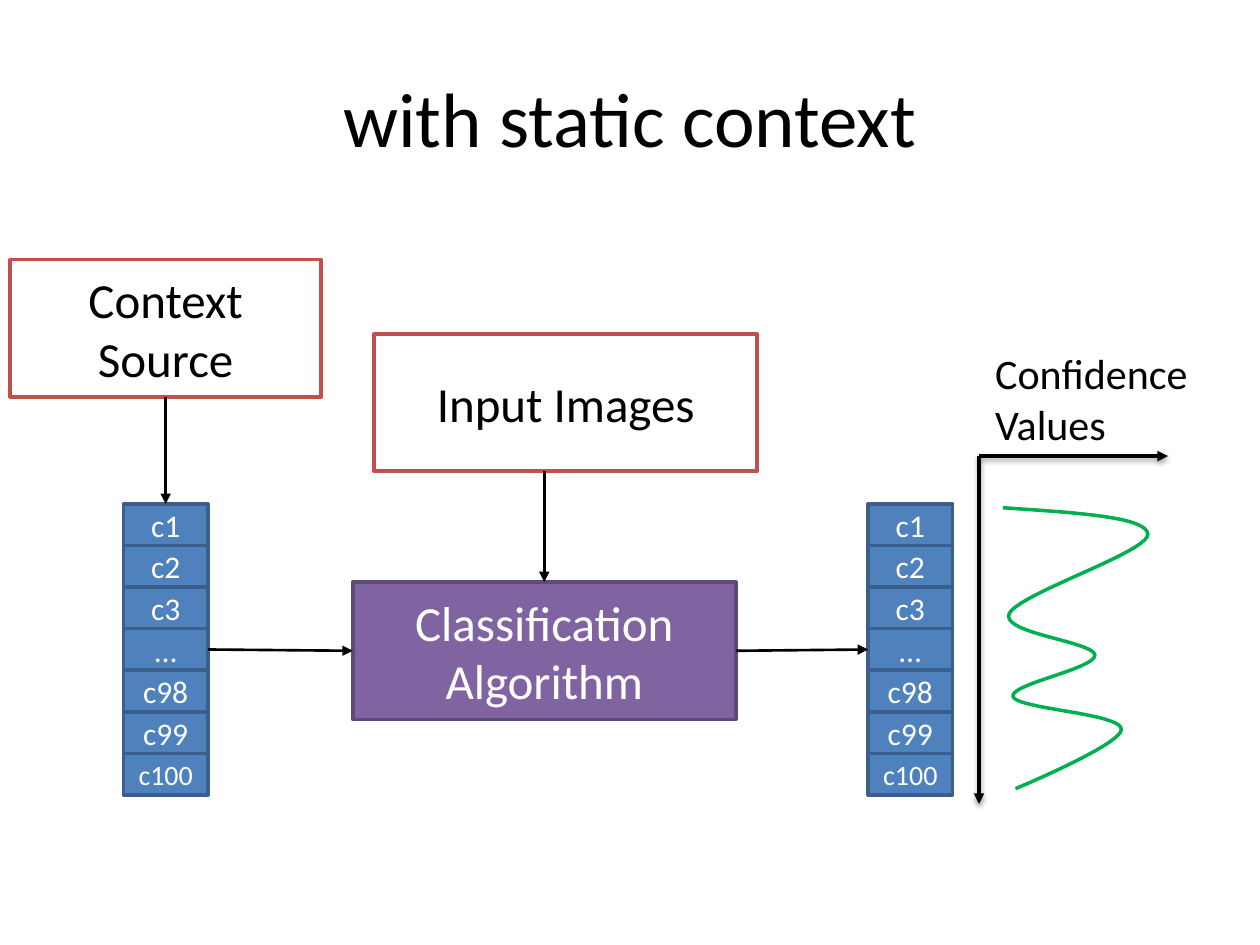
"""Build the "with static context" classification diagram slide."""
from lxml import etree
from pptx import Presentation
from pptx.dml.color import RGBColor
from pptx.enum.shapes import MSO_CONNECTOR, MSO_SHAPE
from pptx.enum.text import MSO_ANCHOR, PP_ALIGN
from pptx.oxml.ns import qn
from pptx.util import Inches, Pt

RECT, STRAIGHT = MSO_SHAPE.RECTANGLE, MSO_CONNECTOR.STRAIGHT
MIDDLE, CENTER = MSO_ANCHOR.MIDDLE, PP_ALIGN.CENTER
TOP, LEFT, BOTTOM, RIGHT = range(4)
rgb = RGBColor.from_string


def add_box(shapes, box, text, size, fill, line, color):
    sp = shapes.add_shape(RECT, *map(Inches, box))
    sp.shadow.inherit = False
    sp.fill.solid()
    sp.fill.fore_color.rgb = rgb(fill)
    sp.line.color.rgb = rgb(line)
    sp.line.width = Pt(2)
    tf = sp.text_frame
    tf.word_wrap = True
    tf.vertical_anchor = MIDDLE
    tf.text = text
    p = tf.paragraphs[0]
    p.alignment = CENTER
    p.font.name, p.font.size, p.font.color.rgb = "Calibri", Pt(size), rgb(color)
    return sp


def add_arrow(shapes, ends, width):
    cn = shapes.add_connector(STRAIGHT, *map(Inches, ends))
    cn.line.color.rgb = rgb("000000")
    cn.line.width = Pt(width)
    spPr = cn._element.spPr
    etree.SubElement(spPr.find(qn("a:ln")), qn("a:tailEnd"), type="triangle")
    return cn, etree.SubElement(spPr, qn("a:effectLst"))


prs = Presentation()
prs.slide_width, prs.slide_height = Inches(10), Inches(7.5)
s = prs.slides.add_slide(prs.slide_layouts[5])

title = s.shapes.title
title.left, title.top, title.width, title.height = map(Inches, (0.5, 0.3, 9, 1.25))
title.text_frame.text = "with static context"
title.text_frame.vertical_anchor = MIDDLE
p = title.text_frame.paragraphs[0]
p.alignment = CENTER
p.font.name, p.font.size, p.font.color.rgb = "Calibri", Pt(44), rgb("000000")

labels = ["c1", "c2", "c3", "…", "c98", "c99", "c100"]
cell_w, cell_h, cells_top = 0.67, 0.33, 4
columns = []
for x in (0.98, 6.89):
    group = s.shapes.add_group_shape()
    columns.append([
        add_box(group.shapes, (x, cells_top + i * cell_h, cell_w, cell_h), label,
                16 if label == "c100" else 18, "4F81BD", "3A5F8C", "FFFFFF")
        for i, label in enumerate(labels)])
context_cells, result_cells = columns

box_h = 1.09
algorithm = add_box(s.shapes, (2.8, 4.62, 3.04, box_h), "Classification Algorithm",
                    28, "8064A2", "5F4A78", "FFFFFF")
images, source = [
    add_box(s.shapes, (x, y, w, box_h), text, 28, "FFFFFF", "C0504D", "000000")
    for x, y, w, text in ((2.97, 2.65, 3.04, "Input Images"),
                          (0.08, 2.06, 2.47, "Context Source"))]

for start, start_side, end, end_side in (
        (source, BOTTOM, context_cells[0], TOP),
        (context_cells[3], RIGHT, algorithm, LEFT),
        (algorithm, RIGHT, result_cells[3], LEFT)):
    cn, _ = add_arrow(s.shapes, (0, 0, 1, 1), 1.5)
    cn.begin_connect(start, start_side)
    cn.end_connect(end, end_side)
cn, _ = add_arrow(s.shapes, (4.32, 3.74, 4.32, 4.62), 1.5)
cn.end_connect(algorithm, TOP)

axis_x, axis_y = 7.77, 3.62
axes = s.shapes.add_group_shape()
for end in ((axis_x, 6.38), (9.27, axis_y)):
    _, effects = add_arrow(axes.shapes, (axis_x, axis_y, *end), 2)
    shadow = etree.SubElement(effects, qn("a:outerShdw"), blurRad="40000",
                              dist="20000", dir="5400000", rotWithShape="0")
    black = etree.SubElement(shadow, qn("a:srgbClr"), val="000000")
    etree.SubElement(black, qn("a:alpha"), val="38000")

tf = s.shapes.add_textbox(*map(Inches, (7.8, 2.71, 1.82, 0.91))).text_frame
tf.word_wrap = False
tf.text = "Confidence \vValues"
p = tf.paragraphs[0]
p.font.name, p.font.size, p.font.color.rgb = "Calibri", Pt(24), rgb("000000")

start = (7.96, 4.03)
beziers = [
    ((8.53, 4.07), (9.1, 4.1), (9.11, 4.24)),
    ((9.12, 4.38), (8.09, 4.71), (8.01, 4.87)),
    ((7.94, 5.03), (8.68, 5.09), (8.69, 5.2)),
    ((8.69, 5.31), (8.01, 5.43), (8.04, 5.53)),
    ((8.08, 5.63), (8.9, 5.66), (8.9, 5.79)),
    ((8.9, 5.91), (8.06, 6.26), (8.06, 6.26)),
]
steps = 20
points, a = [], start
for b, c, d in beziers:
    for t in (i / steps for i in range(1, steps + 1)):
        points.append([
            Inches((1 - t) ** 3 * a[k] + 3 * (1 - t) ** 2 * t * b[k]
                   + 3 * (1 - t) * t ** 2 * c[k] + t ** 3 * d[k])
            for k in (0, 1)])
    a = d
builder = s.shapes.build_freeform(*map(Inches, start))
builder.add_line_segments(points, close=False)
curve = builder.convert_to_shape()
curve.shadow.inherit = False
curve.fill.background()
curve.line.color.rgb = rgb("00B050")
curve.line.width = Pt(2)

prs.save("out.pptx")
